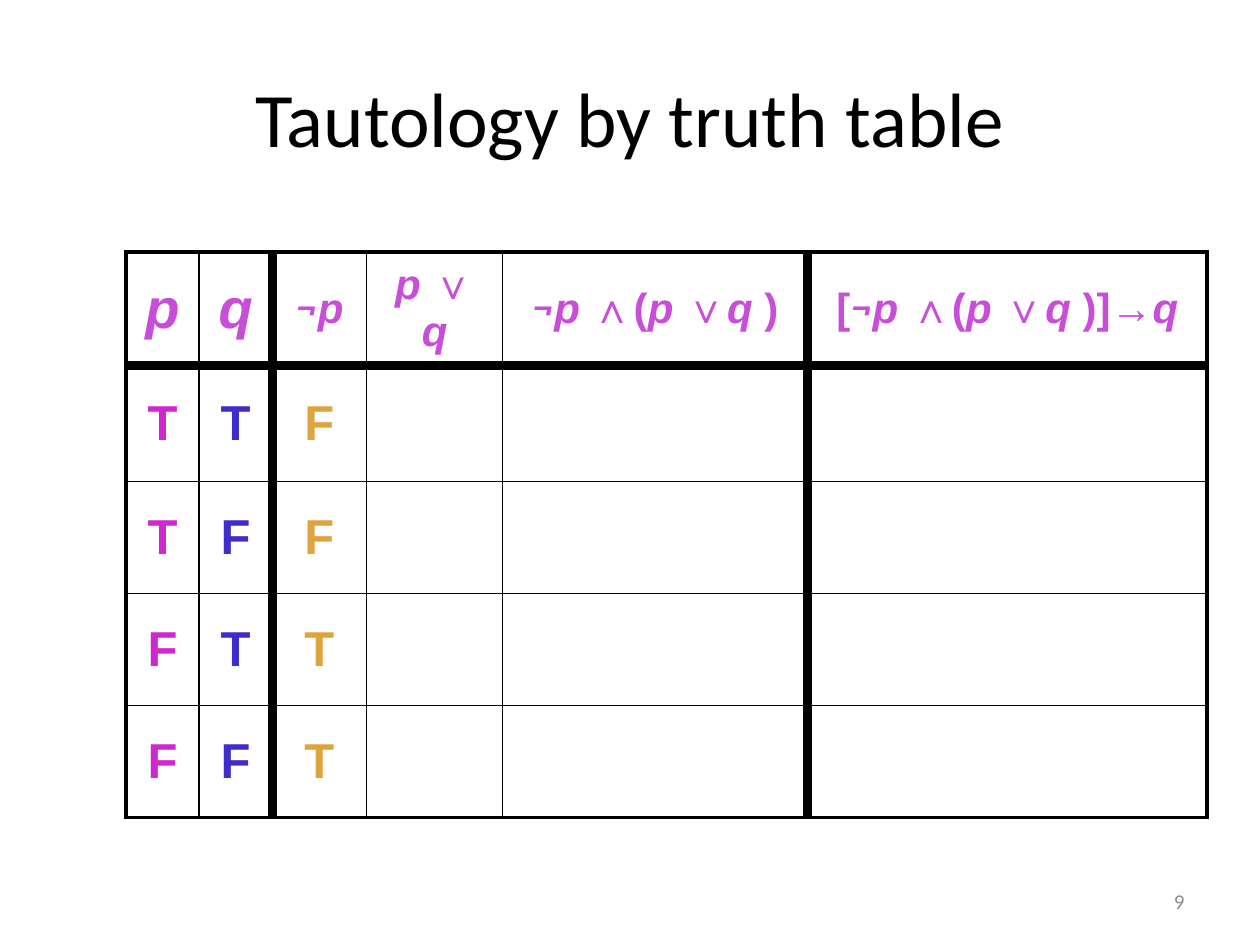
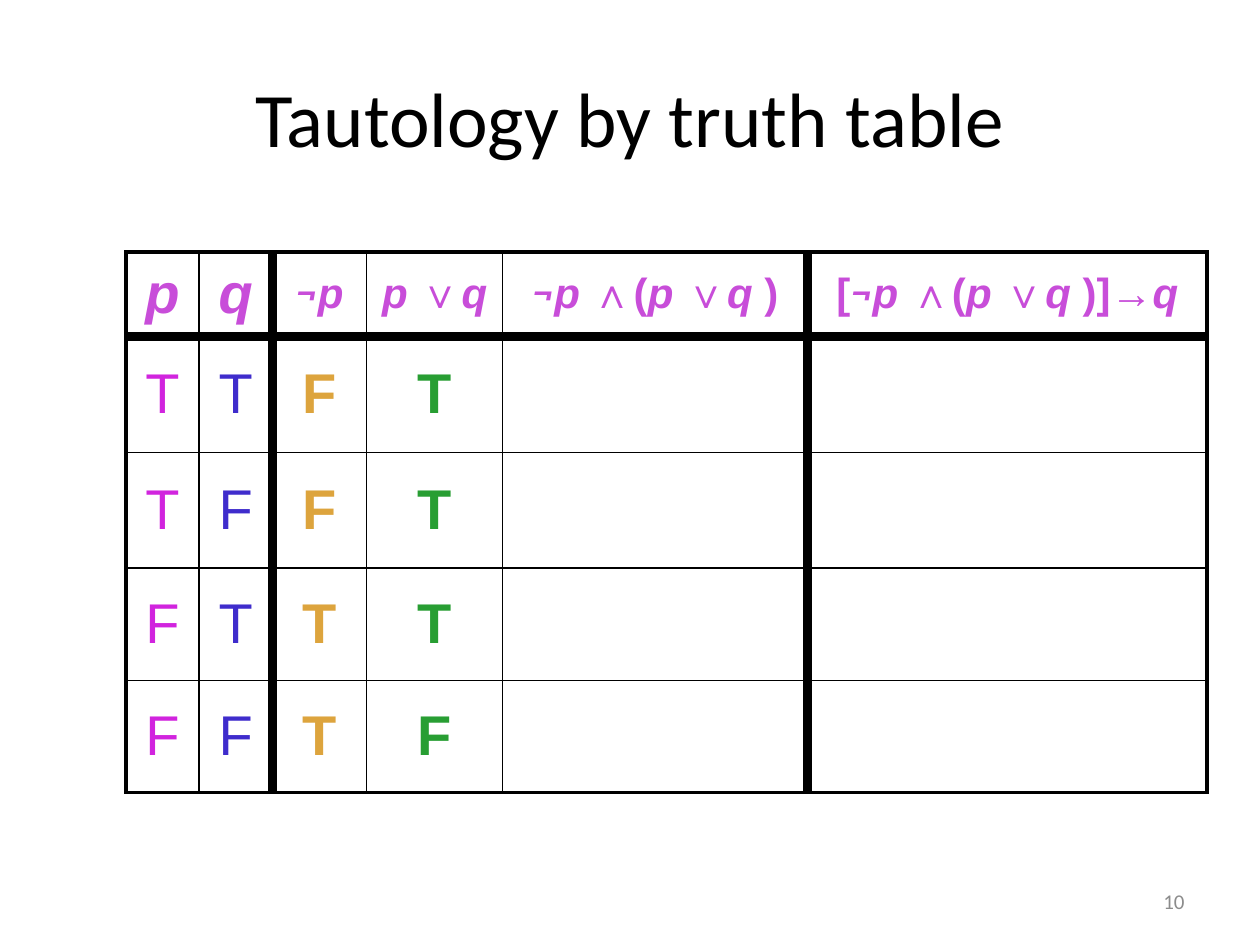
import pptx
import pptx.util
import pptx.dml.color
import pptx.enum.text
import pptx.oxml
import pptx.oxml.ns

Inches = pptx.util.Inches
Align = pptx.enum.text.PP_ALIGN
Anchor = pptx.enum.text.MSO_ANCHOR

BLACK, WHITE, GREY = "000000", "FFFFFF", "8C8C8C"
HEAD, BLUE, GOLD, GREEN = "C84DD9", "3F2CCC", "DDA43D", "289E33"

# Runs of each heading are parted by "|"
HEADS = ["p", "q", "¬|p", "p |∨|q", "¬|p |∧(|p |∨|q |)",
         "[|¬|p |∧(|p |∨|q |)]→|q"]
WIDTHS = [0.58, 0.58, 0.75, 1.08, 2.42, 3.17]

# Rule widths in points, from left to right and from top to bottom
COL_RULES = [2.25, 1, 6, 1, 1, 6, 2.25]
ROW_RULES = [2.25, 6, 0.25, 1, 1, 2.25]


def color(code):
    return pptx.dml.color.RGBColor.from_string(code)


def write(para, text, font="Arial", size=24, fill=BLACK, bold=False,
          italic=False, align=Align.CENTER):
    """Add one run of text to a paragraph."""
    para.alignment = align
    run = para.add_run()
    run.text = text
    run.font.name = font
    run.font.size = pptx.util.Pt(size)
    run.font.color.rgb = color(fill)
    run.font.bold = bold
    run.font.italic = italic


class Deck:
    def __init__(self):
        self.file = pptx.Presentation()
        self.file.slide_width = Inches(10)
        self.file.slide_height = Inches(7.5)
        self.slide = None

    def page(self, title, number):
        """Start a slide with its title and page number."""
        self.slide = self.file.slides.add_slide(self.file.slide_layouts[6])
        self.label(number, 7.17, 6.95, 2.33, 0.4, size=12, fill=GREY,
                   align=Align.RIGHT)
        self.label(title, 0.5, 0.3, 9, 1.25, size=44)

    def label(self, text, left, top, width, height, **style):
        box = self.slide.shapes.add_textbox(
            Inches(left), Inches(top), Inches(width), Inches(height))
        frame = box.text_frame
        frame.word_wrap = True
        frame.vertical_anchor = Anchor.MIDDLE
        write(frame.paragraphs[0], text, font="Calibri", **style)

    def rules(self, cell, row, col):
        """Draw the four borders of a cell."""
        sides = {"lnL": COL_RULES[col], "lnR": COL_RULES[col + 1],
                 "lnT": ROW_RULES[row], "lnB": ROW_RULES[row + 1]}
        props = cell._tc.get_or_add_tcPr()
        for place, (side, width) in enumerate(sides.items()):
            props.insert(place, pptx.oxml.parse_xml(
                f'<a:{side} {pptx.oxml.ns.nsdecls("a")} '
                f'w="{pptx.util.Pt(width)}"><a:solidFill>'
                f'<a:srgbClr val="{BLACK}"/></a:solidFill></a:{side}>'))

    def head(self, para, text):
        """Write a heading with slanted letters and upright signs."""
        size = 32 if len(text) == 1 else 24
        for part in text.split("|"):
            write(para, part, font="Roboto" if part == "¬" else "Arial",
                  size=size, fill=HEAD, bold=True,
                  italic=part.strip() in ("p", "q", "¬"))

    def truth(self, heights, columns):
        """Add a truth table; columns holds (values, format) pairs."""
        shape = self.slide.shapes.add_table(
            len(heights), len(WIDTHS), Inches(1), Inches(2),
            Inches(sum(WIDTHS)), Inches(sum(heights)))
        table = shape.table
        table.first_row = table.horz_banding = False
        for col, width in enumerate(WIDTHS):
            table.columns[col].width = Inches(width)
        for row, height in enumerate(heights):
            table.rows[row].height = Inches(height)
            for col, title in enumerate(HEADS):
                cell = table.cell(row, col)
                cell.fill.solid()
                cell.fill.fore_color.rgb = color(WHITE)
                cell.vertical_anchor = Anchor.MIDDLE
                self.rules(cell, row, col)
                para = cell.text_frame.paragraphs[0]
                if row == 0:
                    self.head(para, title)
                elif col < len(columns):
                    values, style = columns[col]
                    write(para, values[row - 1], **style)


def main():
    deck = Deck()
    title = "Tautology by truth table"

    # Values of p, q and ¬p
    deck.page(title, "9")
    bold = dict(size=28, bold=True)
    HEADS[3] = "p |∨ |q"
    deck.truth([0.67, 0.92, 0.89, 0.89, 0.89], [
        ("TTFF", dict(bold, fill="D226CE")),
        ("TFTF", dict(bold, fill=BLUE)),
        ("FFTT", dict(bold, fill=GOLD))])

    # Values of p ∨ q added
    deck.page(title, "10")
    bold = dict(size=32, bold=True)
    HEADS[3] = "p |∨|q"
    deck.truth([0.67, 0.92, 0.92, 0.89, 0.89], [
        ("TTFF", dict(size=32, fill="D124DE")),
        ("TFTF", dict(size=32, fill=BLUE)),
        ("FFTT", dict(bold, fill=GOLD)),
        ("TTTF", dict(bold, fill=GREEN))])

    deck.file.save("out.pptx")


if __name__ == "__main__":
    main()
